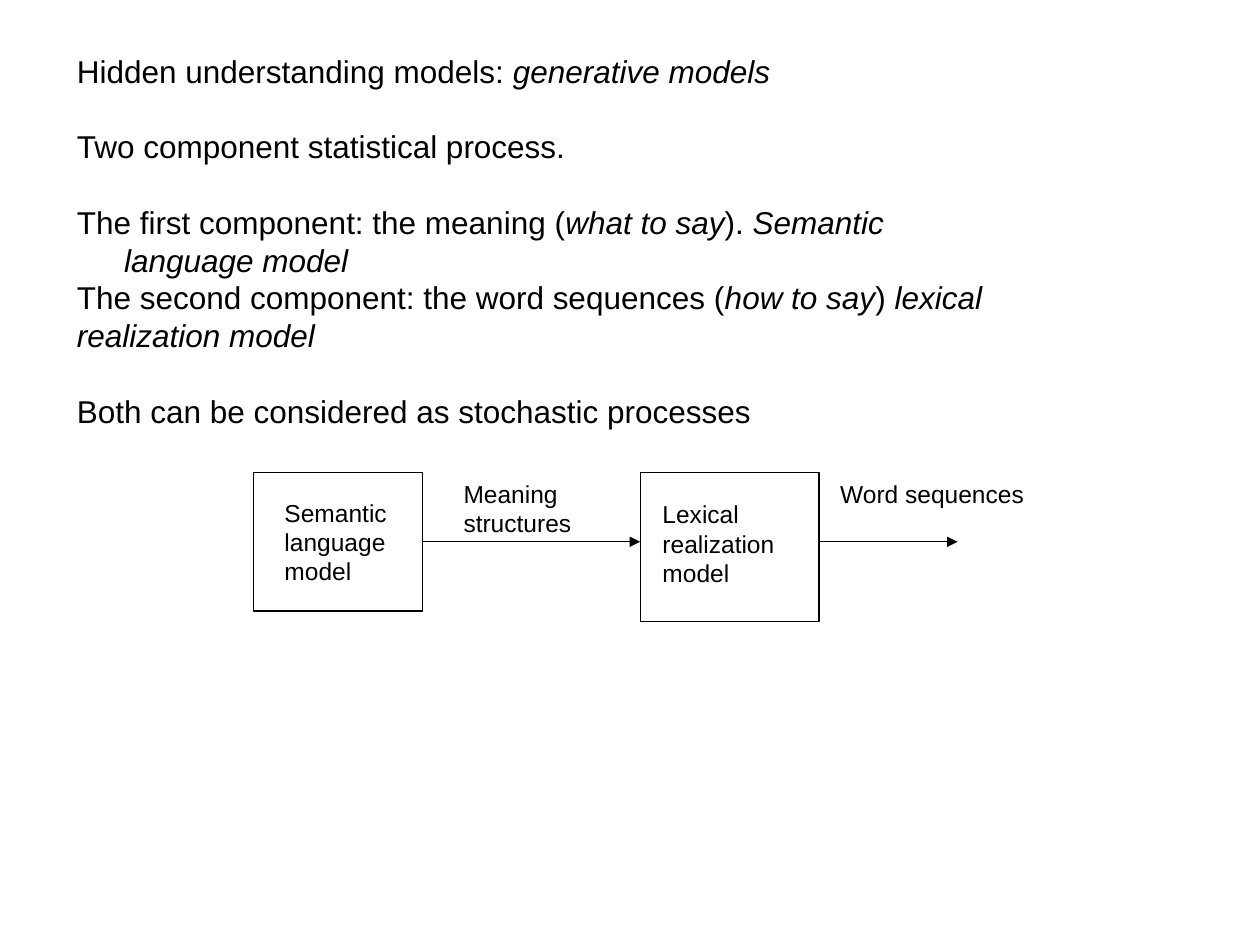
from lxml import etree
from pptx import Presentation
from pptx.dml.color import RGBColor
from pptx.enum.shapes import MSO_CONNECTOR, MSO_SHAPE
from pptx.enum.text import MSO_ANCHOR, MSO_AUTO_SIZE, PP_ALIGN
from pptx.oxml.ns import qn
from pptx.util import Pt

RECT = MSO_SHAPE.RECTANGLE
STRAIGHT = MSO_CONNECTOR.STRAIGHT
TOP = MSO_ANCHOR.TOP
NO_AUTOFIT = MSO_AUTO_SIZE.NONE
LEFT = PP_ALIGN.LEFT

COLORS = {"ink": "000000"}
LINE_GAP = 21.6  # one line of body text
HANGING = 27

# Text between asterisks is italic; the number is the space before.
BODY = [
    ("Hidden understanding models: *generative models*", 0),
    ("Two component statistical process.", LINE_GAP),
    ("The first component: the meaning (*what to say*). *Semantic language model*", LINE_GAP),
    ("The second component: the word sequences (*how to say*) *lexical*", 0),
    ("*realization model*", 0),
    ("Both can be considered as stochastic processes", LINE_GAP),
]

DIAGRAM_TOP = 270
ARROW_Y = 309.6
BOXES = [(144.7, 96.6, 79.2), (365.8, 102.2, 85)]  # left, width, height
LABELS = [
    ("Semantic language model", 155.5, 280.8, 79.2, 57.6),
    ("Lexical realization model", 371.5, 281.8, 90.7, 57.6),
    ("Meaning structures", 257.8, DIAGRAM_TOP, 96.5, 41),
    ("Word sequences", 473, DIAGRAM_TOP, 130.3, 24.5),
]


def add_text(p, text, size=14, font="Arial", color="ink"):
    for i, part in enumerate(text.split("*")):
        if part:
            r = p.add_run()
            r.text = part
            r.font.size = Pt(size)
            r.font.name = font
            r.font.italic = i % 2 == 1
            r.font.color.rgb = RGBColor.from_string(COLORS[color])


class SlideBuilder:
    def __init__(self, slide, line_width=0.75):
        self.slide = slide
        self.line_width = line_width

    def _set_line(self, line):
        line.color.rgb = RGBColor.from_string(COLORS["ink"])
        line.width = Pt(self.line_width)

    def _set_frame(self, tf):
        tf.word_wrap = True
        tf.auto_size = NO_AUTOFIT
        tf.vertical_anchor = TOP
        tf.margin_left = tf.margin_right = Pt(7.2)
        tf.margin_top = tf.margin_bottom = Pt(3.6)

    def body(self, sp, paragraphs, left, top, width, height):
        sp.left, sp.top, sp.width, sp.height = map(Pt, (left, top, width, height))
        tf = sp.text_frame
        self._set_frame(tf)
        for i, (text, gap) in enumerate(paragraphs):
            p = tf.add_paragraph() if i else tf.paragraphs[0]
            p.alignment = LEFT
            p.space_before = Pt(gap)
            pPr = p._p.get_or_add_pPr()
            pPr.set("marL", str(Pt(HANGING)))
            pPr.set("indent", str(Pt(-HANGING)))
            etree.SubElement(pPr, qn("a:buNone"))
            add_text(p, text, size=18)

    def label(self, text, left, top, width, height):
        sp = self.slide.shapes.add_textbox(*map(Pt, (left, top, width, height)))
        self._set_frame(sp.text_frame)
        add_text(sp.text_frame.paragraphs[0], text)

    def box(self, left, top, width, height):
        sp = self.slide.shapes.add_shape(RECT, *map(Pt, (left, top, width, height)))
        sp.shadow.inherit = False
        sp.fill.background()
        self._set_line(sp.line)

    def arrow(self, x1, x2, y):
        line = self.slide.shapes.add_connector(STRAIGHT, Pt(x1), Pt(y), Pt(x2), Pt(y))
        self._set_line(line.line)
        etree.SubElement(line.line._get_or_add_ln(), qn("a:tailEnd"), type="triangle")
        etree.SubElement(line._element.spPr, qn("a:effectLst"))


def main():
    prs = Presentation()
    prs.slide_width, prs.slide_height = Pt(720), Pt(540)
    s = prs.slides.add_slide(prs.slide_layouts[1])
    title, body = s.placeholders
    title.element.getparent().remove(title.element)

    builder = SlideBuilder(s)
    builder.body(body, BODY, 36.7, 25.9, 532.8, 223.2)
    for left, width, height in BOXES:
        builder.box(left, DIAGRAM_TOP, width, height)
    semantic_right, lexical_right = (left + width for left, width, _ in BOXES)
    builder.arrow(semantic_right, BOXES[1][0], ARROW_Y)
    builder.arrow(lexical_right, 547.2, ARROW_Y)
    for label in LABELS:
        builder.label(*label)
    prs.save("out.pptx")


if __name__ == "__main__":
    main()
